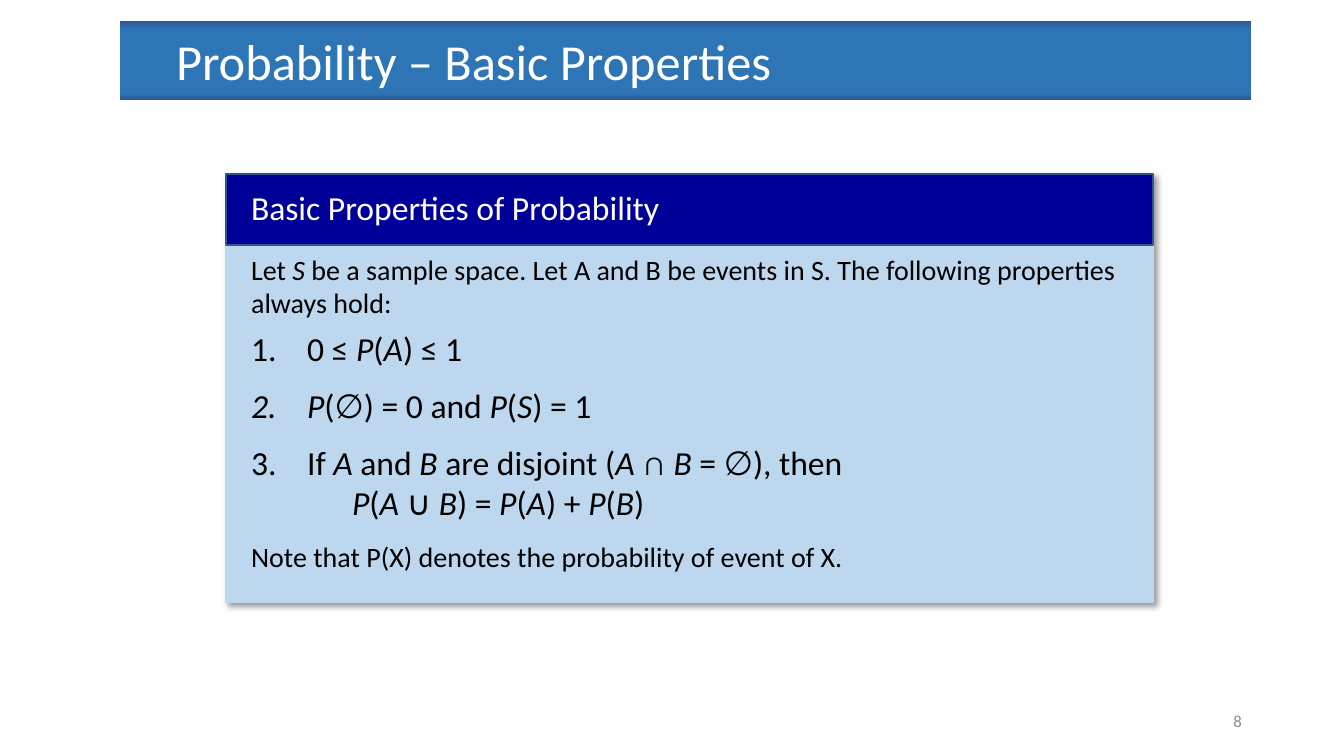
from lxml import etree
from pptx import Presentation
from pptx import util as u
from pptx.dml.color import RGBColor
from pptx.enum import shapes, text
from pptx.oxml import ns

PIXEL = 914400 / 100.8
FONT = "Calibri"
WHITE = RGBColor(0xFF, 0xFF, 0xFF)
BLACK = RGBColor(0x00, 0x00, 0x00)
GREY = RGBColor(0x8C, 0x8C, 0x8C)
BLUE = RGBColor(0x2E, 0x75, 0xB6)
DEEP_BLUE = RGBColor(0x2F, 0x55, 0x97)
NAVY = RGBColor(0x00, 0x00, 0x99)
NAVY_EDGE = RGBColor(0x32, 0x54, 0x91)
PALE_BLUE = RGBColor(0xBD, 0xD7, 0xEE)

# Text (italics between asterisks), size, space after, left margin, numbered
PROPERTIES = [
    ("Let *S *be a sample space. Let A and B be events in S. "
     "The following properties always hold:", 20, 6, 0, False),
    ("0 ≤ *P*(*A*) ≤ 1", 24, 12, 56, True),
    ("*P*(∅) = 0 and *P*(*S*) = 1", 24, 12, 56, True),
    ("If *A* and *B* are disjoint (*A* ∩ *B* = ∅), then", 24, 0, 56, True),
    ("*P*(*A* ∪ *B*) = *P*(*A*) + *P*(*B*)", 24, 12, 101, False),
    ("Note that P(X) denotes the probability of event of X.", 20, 12, 0, False),
]


def px(length):
    return u.Emu(round(length * PIXEL))


def place(shape, box):
    shape.left, shape.top, shape.width, shape.height = map(px, box)


def add_xml(parent, markup):
    parent.append(etree.fromstring(markup.replace(">", f' {ns.nsdecls("a")}>', 1)))


def write(para, marked, size, color):
    """Fill a paragraph, setting the parts between asterisks in italics."""
    for index, part in enumerate(marked.split("*")):
        if part:
            span = para.add_run()
            span.text = part
            font = span.font
            font.name, font.size, font.italic = FONT, u.Pt(size), index % 2 == 1
            font.color.rgb = color


def set_frame(shape, anchor):
    frame = shape.text_frame
    frame.word_wrap = True
    frame.auto_size = text.MSO_AUTO_SIZE.NONE
    frame.vertical_anchor = anchor
    return frame


def add_panel(page, box, fill, line):
    panel = page.shapes.add_shape(shapes.MSO_SHAPE.RECTANGLE, *map(px, box))
    panel.shadow.inherit = False
    panel.fill.solid()
    panel.fill.fore_color.rgb = fill
    panel.line.color.rgb = line
    panel.line.width = u.Pt(1)
    return panel


def title_bar(page, box):
    title = page.shapes.title
    place(title, box)
    stops = "".join(
        f'<a:gs pos="{percent * 1000}"><a:srgbClr val="{color}"/></a:gs>'
        for percent, color in [(0, DEEP_BLUE), (11, BLUE), (91, BLUE), (100, DEEP_BLUE)])
    add_xml(title._element.spPr, f'<a:gradFill rotWithShape="1"><a:gsLst>{stops}</a:gsLst>'
            '<a:lin ang="5400000" scaled="0"/></a:gradFill>')
    frame = set_frame(title, text.MSO_ANCHOR.MIDDLE)
    frame.margin_left = px(56)
    para = frame.paragraphs[0]
    para.alignment = text.PP_ALIGN.LEFT
    write(para, "Probability – Basic Properties", 36, WHITE)


def properties_card(page, box):
    left, top, width, height = box
    header_height, inset = 71, 15

    # Backing panel with a soft shadow
    backing = add_panel(page, box, PALE_BLUE, PALE_BLUE)
    effects = backing._element.spPr.find(ns.qn("a:effectLst"))
    add_xml(effects, f'<a:outerShdw blurRad="{u.Pt(4)}" dist="{u.Pt(3)}" dir="2700000" '
            'algn="tl" rotWithShape="0"><a:srgbClr val="000000">'
            '<a:alpha val="40000"/></a:srgbClr></a:outerShdw>')

    # Heading strip
    header = add_panel(page, (left, top, width, header_height), NAVY, NAVY_EDGE)
    frame = set_frame(header, text.MSO_ANCHOR.MIDDLE)
    frame.margin_left, frame.margin_top, frame.margin_bottom = px(25), 0, px(4)
    frame.paragraphs[0].alignment = text.PP_ALIGN.LEFT
    write(frame.paragraphs[0], "Basic Properties of Probability", 24, WHITE)

    # Statement list, brought in front of the panels
    body = page.placeholders[1]
    page.shapes._spTree.append(body._element)
    place(body, (left + inset, top + header_height + 2,
                 width - 2 * inset, height - header_height - 2))
    frame = set_frame(body, text.MSO_ANCHOR.TOP)
    for index, (words, size, after, margin, numbered) in enumerate(PROPERTIES):
        para = frame.add_paragraph() if index else frame.paragraphs[0]
        para.space_before, para.space_after = u.Pt(0), u.Pt(after)
        props = para._p.get_or_add_pPr()
        props.set("marL", str(px(margin)))
        props.set("indent", str(px(-margin if numbered else 0)))
        add_xml(props, '<a:buFont typeface="+mj-lt"></a:buFont>')
        add_xml(props, '<a:buAutoNum type="arabicPeriod"></a:buAutoNum>'
                if numbered else '<a:buNone></a:buNone>')
        write(para, words, size, BLACK)


def page_number(page, box):
    number = page.shapes.add_textbox(*map(px, box))
    para = set_frame(number, text.MSO_ANCHOR.MIDDLE).paragraphs[0]
    para.alignment = text.PP_ALIGN.RIGHT
    write(para, "8", 12, GREY)


deck = Presentation()
deck.slide_width, deck.slide_height = px(1344), px(756)
page = deck.slides.add_slide(deck.slide_layouts[1])
title_bar(page, (120, 21, 1131, 79))
properties_card(page, (226, 174, 927, 428))
page_number(page, (950, 701, 302, 40))
deck.save("out.pptx")
